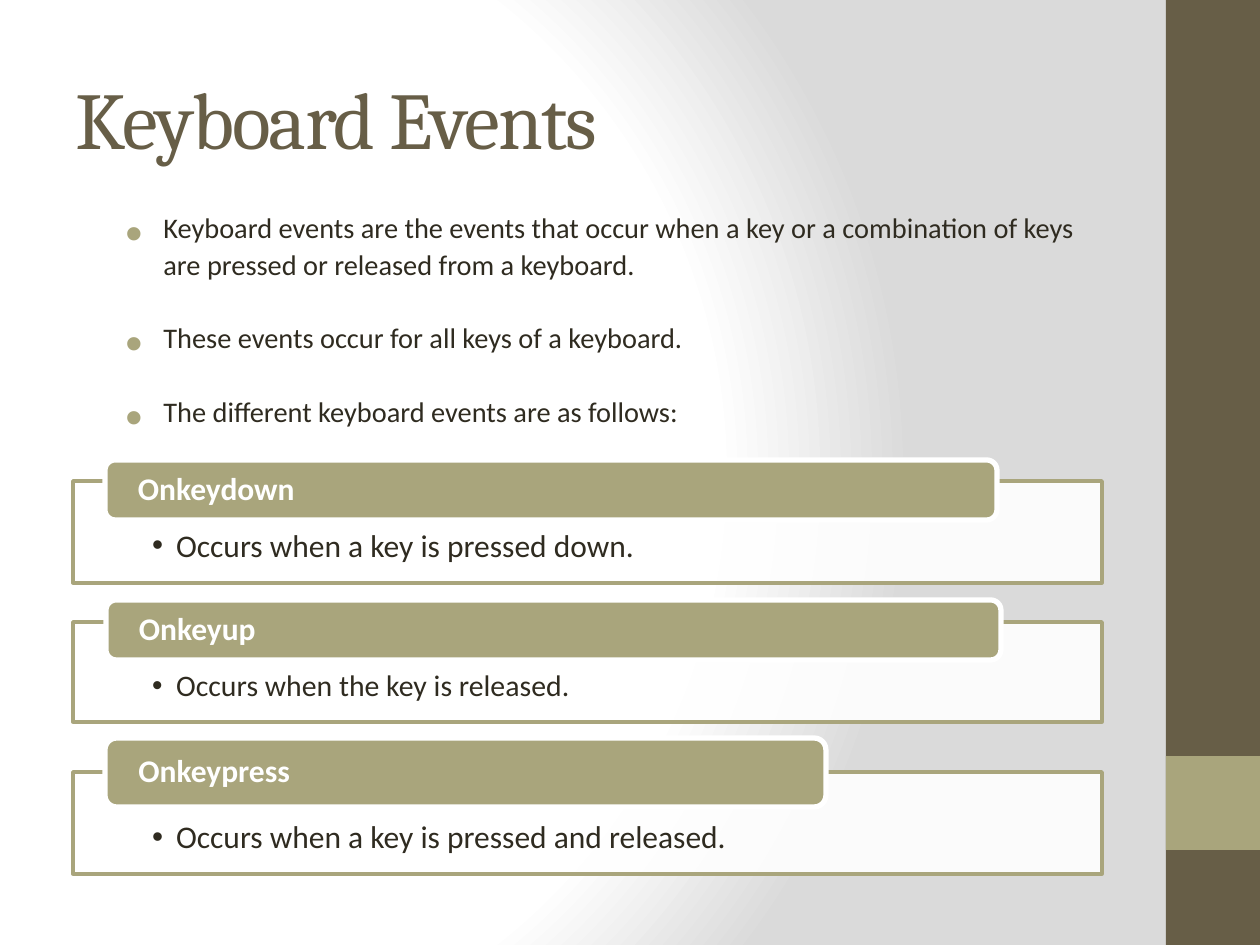
from pptx import Presentation
from pptx.dml.color import RGBColor
from pptx.enum.shapes import MSO_SHAPE as Shape
from pptx.enum.text import MSO_ANCHOR as Anchor, PP_ALIGN as Align
from pptx.oxml import parse_xml
from pptx.oxml.ns import nsdecls
from pptx.util import Pt
from lxml.etree import SubElement

PX = 914400 / 126
BROWN, OLIVE, INK, WHITE = "675E47", "A9A57C", "2F2B20", "FFFFFF"
rgb = RGBColor.from_string


def px(*vals):
    return [round(v * PX) for v in vals]


def bullet(par, left, color):
    """Give the paragraph a round bullet hanging to the left of its text."""
    props = par._p.get_or_add_pPr()
    props.set("marL", str(px(left[0])[0]))
    props.set("indent", str(px(-left[1])[0]))
    for xml in (f'<a:buClr {nsdecls("a")}><a:srgbClr val="{color}"/></a:buClr>',
                f'<a:buFont {nsdecls("a")} typeface="Arial"/>',
                f'<a:buChar {nsdecls("a")} char="•"/>'):
        props.append(parse_xml(xml))


prs = Presentation()
prs.slide_width, prs.slide_height = px(1260, 945)
slide = prs.slides.add_slide(prs.slide_layouts[5])
shapes = slide.shapes

# Background: radial gradient
fill = slide.background.fill
fill.gradient()
old = slide._element.cSld.bg.bgPr[0]
stops = "".join(f'<a:gs pos="{pos}000"><a:srgbClr val="{color}"/></a:gs>'
                for pos, color in ((0, WHITE), (75, WHITE), (100, "DADADA")))
old.getparent().replace(old, parse_xml(
    f'<a:gradFill {nsdecls("a")} rotWithShape="1"><a:gsLst>{stops}</a:gsLst>'
    '<a:path path="circle"><a:fillToRect l="20000" t="50000" r="100000" b="50000"/>'
    '</a:path></a:gradFill>'))

# Side band
for top, high, color in ((0, 945, BROWN), (756, 94, OLIVE)):
    band = shapes.add_shape(Shape.RECTANGLE, *px(1166, top, 94, high))
    band.shadow.inherit = False
    band.fill.solid()
    band.fill.fore_color.rgb = rgb(color)
    band.line.fill.background()

# Title
title = shapes.title
title.left, title.top, title.width, title.height = px(63, 38, 1050, 158)
title.text_frame.text = "Keyboard Events"
title.text_frame.vertical_anchor = Anchor.MIDDLE
par = title.text_frame.paragraphs[0]
par.alignment = Align.LEFT
par.font.name, par.font.size = "Cambria", Pt(46)
par.font.color.rgb = rgb(BROWN)
par.runs[0].font._rPr.set("spc", "-100")

# Introduction
points = [
    "Keyboard events are the events that occur when a key or a combination of keys "
    "are pressed or released from a keyboard.",
    "These events occur for all keys of a keyboard.",
    "The different keyboard events are as follows:",
]
frame = shapes.add_textbox(*px(63, 220, 1050, 230)).text_frame
frame.word_wrap = True
for i, text in enumerate(points):
    par = frame.add_paragraph() if i else frame.paragraphs[0]
    par.text = text
    bullet(par, (88, 38), OLIVE)
    par.line_spacing = Pt(21)
    if i:
        par.space_before = Pt(21)
    par.font.name, par.font.size = "Calibri", Pt(28)
    par.font.color.rgb = rgb(INK)
    par.runs[0].font._rPr.set("baseline", "30000")

# Events: name, text, text size, box top and height, tab left, top, width, height
events = [
    ("Onkeydown", "Occurs when a key is pressed down.", 18, (481, 102), (105, 460, 892, 60)),
    ("Onkeyup", "Occurs when the key is released.", 17, (622, 100), (106, 600, 895, 60)),
    ("Onkeypress", "Occurs when a key is pressed and released.", 18, (772, 102),
     (105, 738, 721, 69)),
]
for name, text, size, (top, high), tab in events:
    for kind, place, words, pts, back, edge, ink, inset in (
            (Shape.RECTANGLE, (73, top, 1029, high), text, size, WHITE, OLIVE, INK, (79, 49)),
            (Shape.ROUNDED_RECTANGLE, tab, name, 18, OLIVE, WHITE, WHITE, (30, 0))):
        box = shapes.add_shape(kind, *px(*place))
        box.shadow.inherit = False
        box.fill.solid()
        box.fill.fore_color.rgb = rgb(back)
        box.line.color.rgb = rgb(edge)
        frame = box.text_frame
        frame.word_wrap = True
        frame.margin_left, frame.margin_top = px(*inset)
        frame.margin_right, frame.margin_bottom = px(inset[0], 0)
        par = frame.paragraphs[0]
        par.text = words
        par.alignment = Align.LEFT
        par.line_spacing = 0.9
        if words == text:
            box.line.width = Pt(2)
            frame.vertical_anchor = Anchor.TOP
            color = box.fill._xPr.solidFill[0]
            SubElement(color, color.tag.replace("srgbClr", "alpha"), val="90000")
            bullet(par, (24, 24), INK)
        else:
            box.line.width = Pt(3)
            box.adjustments[0] = 0.17
            frame.vertical_anchor = Anchor.MIDDLE
            par.font.bold = True
        par.font.name, par.font.size = "Calibri", Pt(pts)
        par.font.color.rgb = rgb(ink)

prs.save("out.pptx")
